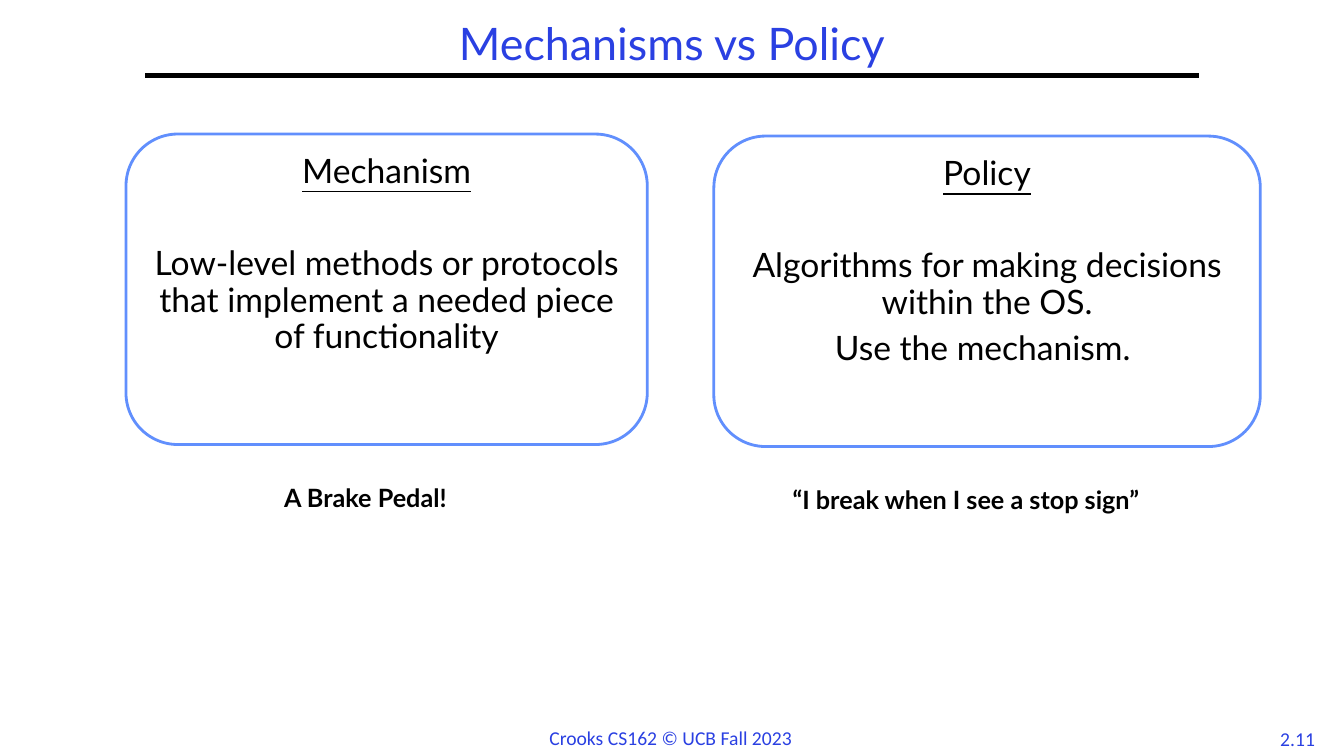
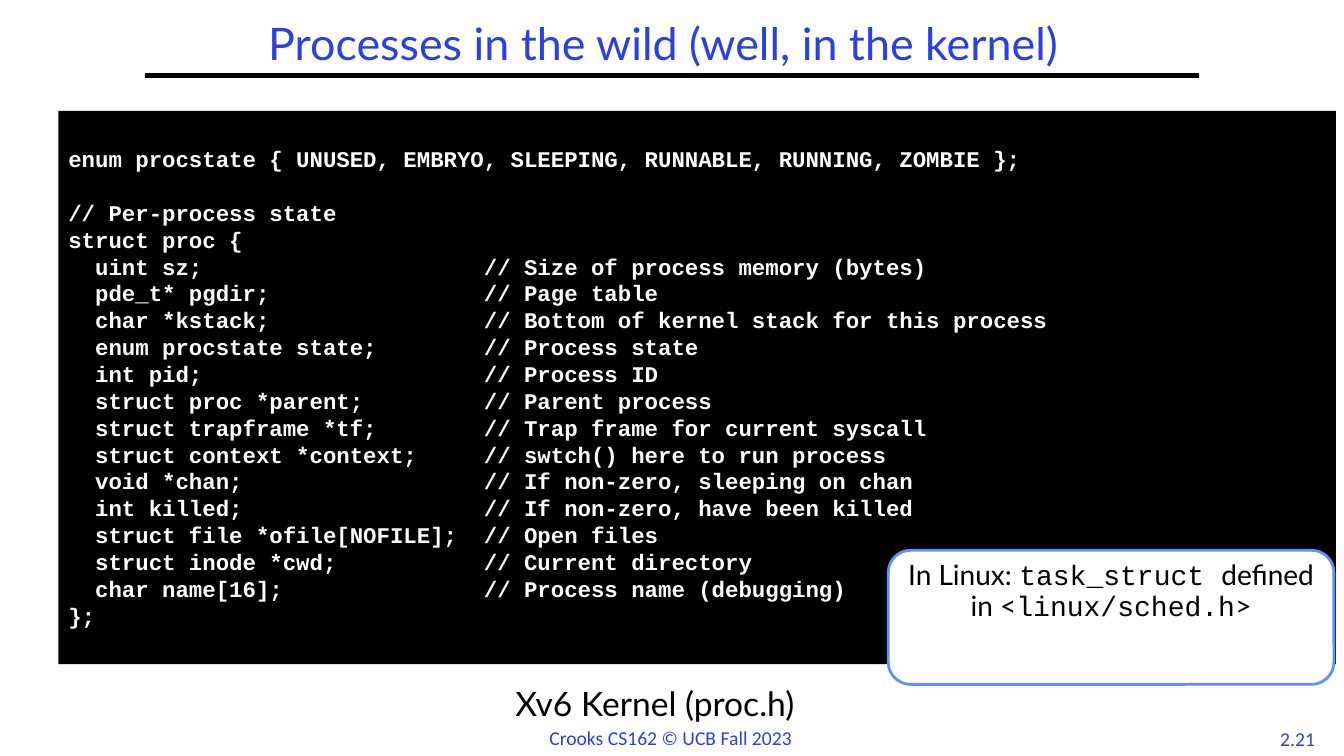
from lxml import etree
from pptx import Presentation
from pptx.dml.color import RGBColor
from pptx.enum.shapes import MSO_CONNECTOR, MSO_SHAPE
from pptx.enum.text import MSO_ANCHOR, PP_ALIGN
from pptx.oxml.ns import qn
from pptx.util import Inches, Pt

RECTANGLE, ROUNDED = MSO_SHAPE.RECTANGLE, MSO_SHAPE.ROUNDED_RECTANGLE
STRAIGHT = MSO_CONNECTOR.STRAIGHT
LEFT, CENTER = PP_ALIGN.LEFT, PP_ALIGN.CENTER
TOP, MIDDLE = MSO_ANCHOR.TOP, MSO_ANCHOR.MIDDLE

BLUE, BORDER, BLACK, WHITE = "2A40E2", "618FFD", "000000", "FFFFFF"
BODY_FONT, FOOTER_FONT, CODE_FONT = "Lato", "Calibri", "Courier New"
WIDTH, HEIGHT = 13.33, 7.5
RULE_LEFT, RULE_RIGHT, RULE_TOP = 1.44, 11.89, 0.75
FOOTER_TEXT = "Crooks CS162 © UCB Fall 2023"
TIGHT = 0.9
CODE_SIZE, CODE_PITCH = 16, 19.2

PROCESS_FIELDS = [
    ("uint sz;", "Size of process memory (bytes)"),
    ("pde_t* pgdir;", "Page table"),
    ("char *kstack;", "Bottom of kernel stack for this process"),
    ("enum procstate state;", "Process state"),
    ("int pid;", "Process ID"),
    ("struct proc *parent;", "Parent process"),
    ("struct trapframe *tf;", "Trap frame for current syscall"),
    ("struct context *context;", "swtch() here to run process"),
    ("void *chan;", "If non-zero, sleeping on chan"),
    ("int killed;", "If non-zero, have been killed"),
    ("struct file *ofile[NOFILE];", "Open files"),
    ("struct inode *cwd;", "Current directory"),
    ("char name[16];", "Process name (debugging)"),
]


def color(value):
    return RGBColor.from_string(value)


def style_font(font, size, name=BODY_FONT, ink=BLACK, bold=False):
    font.size, font.name, font.bold = Pt(size), name, bold
    font.color.rgb = color(ink)


def write(shape, lines, size, align=CENTER, spacing=None, anchor=TOP, wrap=True, **style):
    """Fill a shape with equally styled paragraphs and return them."""
    frame = shape.text_frame
    frame.text = "\n".join(lines)
    frame.word_wrap, frame.vertical_anchor = wrap, anchor
    for paragraph in frame.paragraphs:
        paragraph.alignment, paragraph.line_spacing = align, spacing
        for run in paragraph.runs:
            style_font(run.font, size, **style)
    return frame.paragraphs


def add_text(slide, box, text, size, **style):
    shape = slide.shapes.add_textbox(*map(Inches, box))
    write(shape, [text], size, **style)


def add_panel(slide, box, kind, fill, border=None):
    shape = slide.shapes.add_shape(kind, *map(Inches, box))
    shape.shadow.inherit = False
    shape.fill.solid()
    shape.fill.fore_color.rgb = color(fill)
    if border:
        shape.line.color.rgb = color(border)
        shape.line.width = Pt(2)
    else:
        shape.line.fill.background()
    return shape


def add_base_slide(presentation, title, number, title_box):
    """Add a slide with its title, rule, footer and number."""
    slide = presentation.slides.add_slide(presentation.slide_layouts[6])
    footer_style = {"name": FOOTER_FONT, "ink": BLUE, "wrap": False}
    add_text(slide, (12.58, 7.16, 0.58, 0.33), number, 14, **footer_style)
    add_text(slide, (5.35, 7.15, 2.63, 0.34), FOOTER_TEXT, 14, align=LEFT, **footer_style)
    rule = slide.shapes.add_connector(
        STRAIGHT, Inches(RULE_LEFT), Inches(RULE_TOP), Inches(RULE_RIGHT), Inches(RULE_TOP))
    rule.line.color.rgb = color(BLACK)
    rule.line.width = Pt(3)
    etree.SubElement(rule._element.spPr, qn("a:effectLst"))
    add_text(slide, title_box, title, 32, ink=BLUE, spacing=TIGHT, anchor=MIDDLE)
    return slide


def add_concept(slide, box, heading, statements, example):
    """Place a card with an underlined heading, and its example below."""
    left, top, width, height = box
    card = add_panel(slide, box, ROUNDED, WHITE, BORDER)
    paragraphs = write(card, [heading, *statements], 24, spacing=TIGHT)
    paragraphs[0].runs[0].font.underline = True
    for paragraph in paragraphs[1:]:
        paragraph.space_before = Pt(7.2)
    paragraphs[1].space_before = Pt(40.3)
    add_text(slide, (left - 0.21, top + height + 0.33, width, 0.4), example, 18, bold=True)


def add_code(slide, box):
    """Place the kernel listing, with one empty line between its sections."""
    fields = [f"  {declaration:<29}// {note}" for declaration, note in PROCESS_FIELDS]
    lines = ["enum procstate { UNUSED, EMBRYO, SLEEPING, RUNNABLE, RUNNING, ZOMBIE };",
             "// Per-process state", "struct proc {", *fields, "};"]
    panel = add_panel(slide, box, RECTANGLE, BLACK)
    panel.text_frame.margin_top = Inches(0.34)
    paragraphs = write(panel, lines, CODE_SIZE, align=LEFT, spacing=Pt(CODE_PITCH),
                       name=CODE_FONT, ink=WHITE, bold=True)
    paragraphs[1].space_before = Pt(CODE_PITCH)


def add_linux_note(slide, box):
    """Place the rounded note whose text mixes body and code fonts."""
    note = add_panel(slide, box, ROUNDED, WHITE, BORDER)
    paragraph = write(note, [""], 20, spacing=TIGHT)[0]
    for text, name in [("In Linux: ", BODY_FONT), ("task_struct ", CODE_FONT),
                       ("defined in <", BODY_FONT), ("linux/sched.h", CODE_FONT),
                       (">", BODY_FONT)]:
        run = paragraph.add_run()
        run.text = text
        style_font(run.font, 20, name)


def build_policy_slide(presentation):
    slide = add_base_slide(presentation, "Mechanisms vs Policy", "2.11",
                           (RULE_LEFT, 0.17, RULE_RIGHT - RULE_LEFT, 0.58))
    add_concept(slide, (1.25, 1.33, 5.17, 3.08), "Mechanism",
                ["Low-level methods or protocols that implement a needed piece of functionality"],
                "A Brake Pedal!")
    add_concept(slide, (7.08, 1.35, 5.42, 3.08), "Policy",
                ["Algorithms for making decisions within the OS.", "Use the mechanism. "],
                "“I break when I see a stop sign”")


def build_process_slide(presentation):
    slide = add_base_slide(presentation, "Processes in the wild (well, in the kernel)", "2.21",
                           (0, 0.17, 13.16, 0.58))
    add_code(slide, (0.58, 1.1, 12.67, 5.49))
    add_text(slide, (4.12, 6.77, 4.75, 0.33), "Xv6 Kernel (proc.h)", 24, spacing=TIGHT)
    add_linux_note(slide, (8.81, 5.46, 4.42, 1.33))


def main():
    presentation = Presentation()
    presentation.slide_width, presentation.slide_height = Inches(WIDTH), Inches(HEIGHT)
    build_policy_slide(presentation)
    build_process_slide(presentation)
    presentation.save("out.pptx")


if __name__ == "__main__":
    main()
